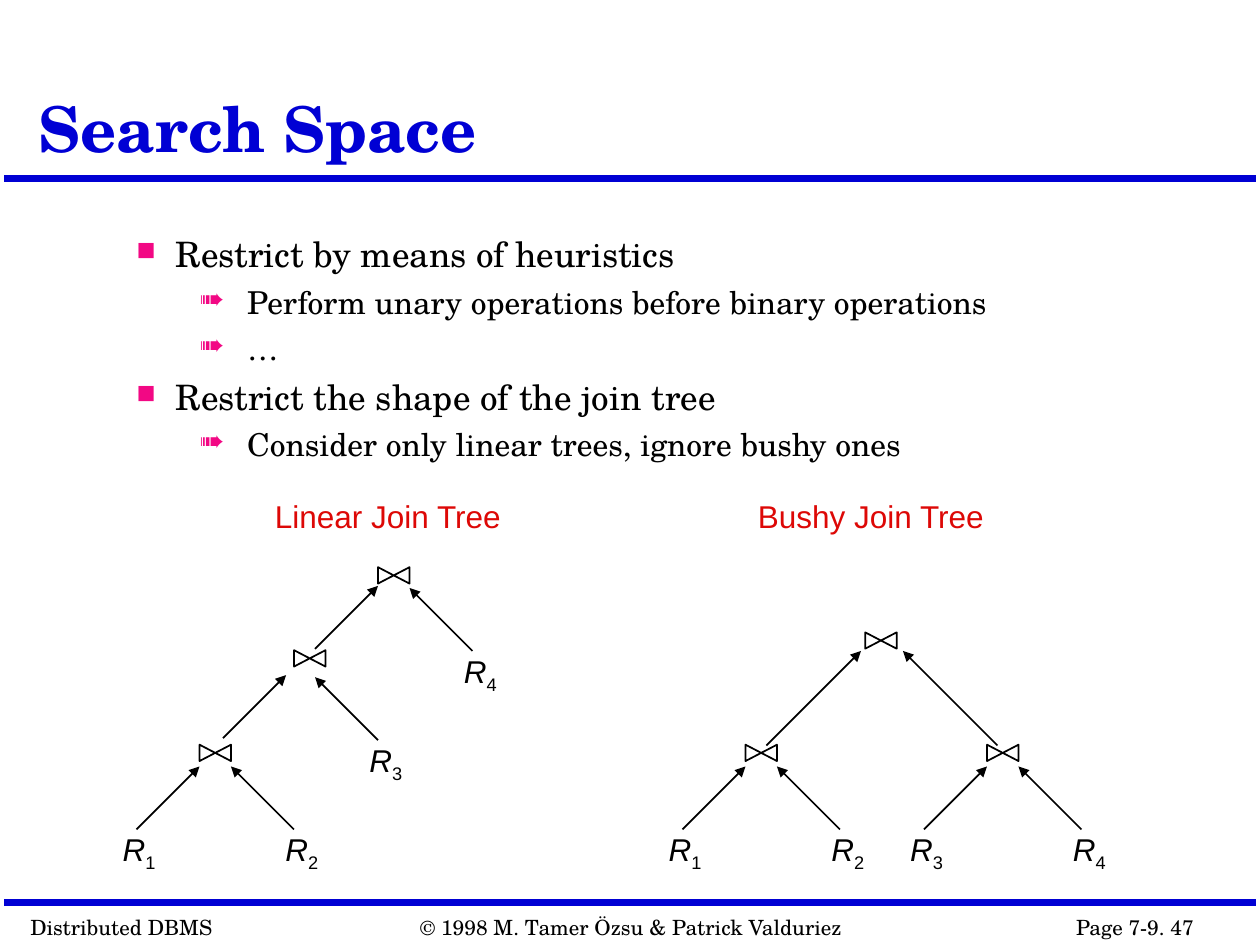
from dataclasses import dataclass

from lxml.etree import SubElement
from pptx import Presentation
from pptx.dml.color import RGBColor
from pptx.enum.shapes import MSO_CONNECTOR, MSO_SHAPE
from pptx.enum.text import MSO_ANCHOR
from pptx.oxml.ns import qn
from pptx.util import Inches, Pt


@dataclass(frozen=True)
class Theme:
    blue: RGBColor = RGBColor(0x00, 0x00, 0xD4)
    red: RGBColor = RGBColor(0xDD, 0x08, 0x06)
    black: RGBColor = RGBColor(0x00, 0x00, 0x00)
    bullet: str = "F20884"
    serif: str = "TeX Gyre Schola"
    sans: str = "Arial"
    title_size: int = 36
    diagram_size: int = 18
    footer_size: int = 12


@dataclass(frozen=True)
class Level:
    mark: str
    mark_percent: int
    size: int
    margin: float
    hanging: float
    space_before: float


@dataclass(frozen=True)
class Point:
    level: int
    wording: str


@dataclass(frozen=True)
class Join:
    """A join symbol, placed by its centre."""
    col: float
    row: float


@dataclass(frozen=True)
class Edge:
    """A 45 degree arrow up from (col, row); a negative reach leans left."""
    col: float
    row: float
    reach: float
    relation: str = ""


@dataclass(frozen=True)
class Tree:
    heading: str
    heading_col: float
    joins: tuple[Join, ...]
    edges: tuple[Edge, ...]


THEME = Theme()
COLS, ROWS = 120, 90
LEVELS = (Level("■", 75, 20, 0.31, 0.31, 7.5), Level("➠", 95, 18, 0.88, 0.38, 6.8))
POINTS = (
    Point(0, "Restrict by means of heuristics"),
    Point(1, "Perform unary operations before binary operations"),
    Point(1, "…"),
    Point(0, "Restrict the shape of the join tree"),
    Point(1, "Consider only linear trees, ignore bushy ones"),
)
FOOTERS = (
    (1.7, 19.8, "Distributed DBMS"),
    (38.8, 42.8, "© 1998 M. Tamer Özsu & Patrick Valduriez"),
    (101.3, 21.1, "Page 7-9. 47"),
)
RULE_ROWS = (17, 86)
BASE_JOIN_ROW, BASE_LEAF_ROW = 71.7, 79


def base_edges(join_col: float, left: str, right: str) -> tuple[Edge, Edge]:
    """The two arrows from the lowest relations to their join."""
    return (Edge(join_col - 7.5, BASE_LEAF_ROW, 6, left),
            Edge(join_col + 7.5, BASE_LEAF_ROW, -6, right))


LINEAR = Tree(
    "Linear Join Tree", 25,
    (Join(20.5, BASE_JOIN_ROW), Join(29.5, 62.7), Join(37.5, 54.8)),
    base_edges(20.5, "1", "2") + (
        Edge(21.25, 70.3, 6), Edge(36, 70.5, -6, "3"),
        Edge(30, 61.8, 6), Edge(45, 62, -6, "4")),
)
BUSHY = Tree(
    "Bushy Join Tree", 71,
    (Join(72.5, BASE_JOIN_ROW), Join(95.5, BASE_JOIN_ROW), Join(83.9, 61)),
    base_edges(72.5, "1", "2") + base_edges(95.5, "3", "4") + (
        Edge(73, 71, 9), Edge(95, 71, -9)),
)

deck = Presentation()
deck.slide_width, deck.slide_height = Inches(10), Inches(7.5)
slide = deck.slides.add_slide(deck.slide_layouts[6])


def x(col: float) -> int:
    return round(deck.slide_width * col / COLS)


def y(row: float) -> int:
    return round(deck.slide_height * row / ROWS)


def add_frame(col: float, row: float, cols: float, rows: float, wrap: bool = False):
    frame = slide.shapes.add_textbox(x(col), y(row), x(cols), y(rows)).text_frame
    frame.word_wrap = wrap
    return frame


def add_run(paragraph, wording: str, face: str, size: int, color: RGBColor):
    run = paragraph.add_run()
    run.text = wording
    run.font.name, run.font.size = face, Pt(size)
    run.font.color.rgb = color
    return run


def add_line(start: tuple[float, float], end: tuple[float, float],
             color: RGBColor, weight: float, arrow: bool = False) -> None:
    line = slide.shapes.add_connector(
        MSO_CONNECTOR.STRAIGHT, x(start[0]), y(start[1]), x(end[0]), y(end[1]))
    line.line.color.rgb = color
    line.line.width = Pt(weight)
    properties = line._element.spPr
    if arrow:
        SubElement(properties.find(qn("a:ln")), qn("a:tailEnd"), type="triangle")
    SubElement(properties, qn("a:effectLst"))


def add_point(paragraph, point: Point, first: bool) -> None:
    level = LEVELS[point.level]
    properties = paragraph._p.get_or_add_pPr()
    properties.set("marL", str(Inches(level.margin)))
    properties.set("indent", str(-Inches(level.hanging)))
    mark_color = SubElement(properties, qn("a:buClr"))
    SubElement(mark_color, qn("a:srgbClr"), val=THEME.bullet)
    SubElement(properties, qn("a:buSzPct"), val=str(level.mark_percent * 1000))
    SubElement(properties, qn("a:buChar"), char=level.mark)
    paragraph.level = point.level
    paragraph.line_spacing = 0.9
    if not first:
        paragraph.space_before = Pt(level.space_before)
    add_run(paragraph, point.wording, THEME.serif, level.size, THEME.black)


def add_relation(edge: Edge) -> None:
    inset = 2.5 if edge.reach > 0 else 2
    paragraph = add_frame(edge.col - inset, edge.row - 0.5, 5.5, 5.3).paragraphs[0]
    letter = add_run(paragraph, "R", THEME.sans, THEME.diagram_size, THEME.black)
    letter.font.italic = True
    index = add_run(paragraph, edge.relation, THEME.sans, THEME.diagram_size, THEME.black)
    index.font._element.set("baseline", "-25000")


def add_join(join: Join) -> None:
    width, height = Inches(0.13), Inches(0.25)
    symbol = slide.shapes.add_shape(
        MSO_SHAPE.FLOWCHART_COLLATE,
        x(join.col) - width // 2, y(join.row) - height // 2, width, height)
    symbol.rotation = 270
    symbol.shadow.inherit = False
    symbol.fill.background()
    symbol.line.color.rgb = THEME.black
    symbol.line.width = Pt(1)


def add_tree(tree: Tree) -> None:
    heading = add_frame(tree.heading_col, 46.7, 24, 4.8).paragraphs[0]
    add_run(heading, tree.heading, THEME.sans, THEME.diagram_size, THEME.red)
    for edge in tree.edges:
        tip = (edge.col + edge.reach, edge.row - abs(edge.reach))
        add_line((edge.col, edge.row), tip, THEME.black, 1, arrow=True)
        if edge.relation:
            add_relation(edge)
    for join in tree.joins:
        add_join(join)


for rule_row in RULE_ROWS:
    add_line((0.4, rule_row), (COLS - 0.4, rule_row), THEME.blue, 4)
for footer_col, footer_cols, footer in FOOTERS:
    footer_line = add_frame(footer_col, 86.5, footer_cols, 3.6).paragraphs[0]
    add_run(footer_line, footer, THEME.serif, THEME.footer_size, THEME.black)

title = add_frame(2.5, 1.4, 94, 15, wrap=True)
title.vertical_anchor = MSO_ANCHOR.BOTTOM
title.paragraphs[0].line_spacing = 0.9
title_run = add_run(title.paragraphs[0], "Search Space", THEME.serif, THEME.title_size, THEME.blue)
title_run.font.bold = True

body = add_frame(11.8, 22, 94, 26, wrap=True)
for number, point in enumerate(POINTS):
    add_point(body.add_paragraph() if number else body.paragraphs[0], point, number == 0)

for tree in (LINEAR, BUSHY):
    add_tree(tree)

deck.save("out.pptx")
